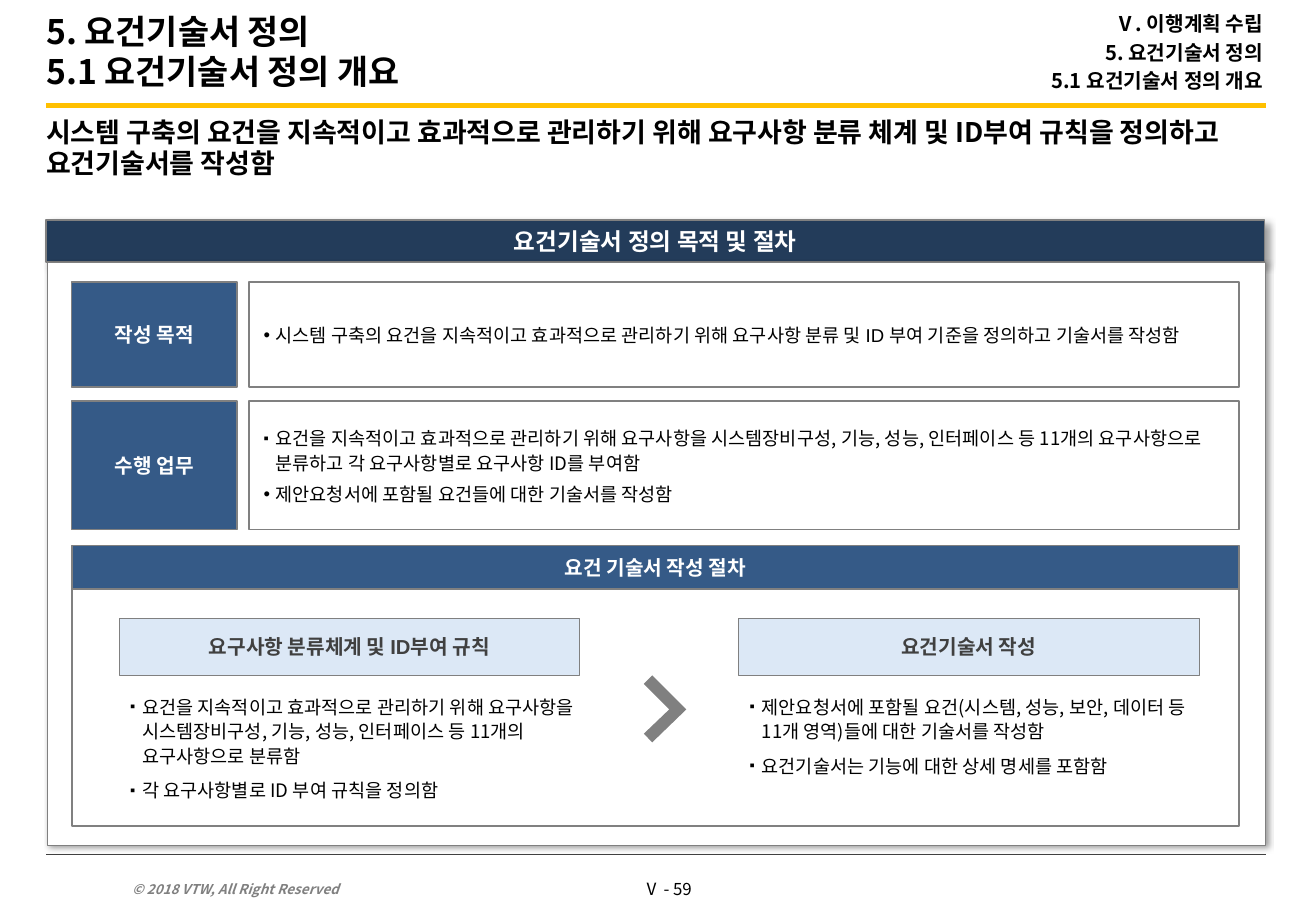
import pptx
import pptx.util
import pptx.dml.color
import pptx.enum.shapes
import pptx.enum.text
import pptx.oxml
import pptx.oxml.ns
from lxml import etree

Pt = pptx.util.Pt
RGB = pptx.dml.color.RGBColor.from_string
PP = pptx.enum.text.PP_ALIGN
ANCHOR = pptx.enum.text.MSO_ANCHOR
RECT = pptx.enum.shapes.MSO_SHAPE.RECTANGLE
qn = pptx.oxml.ns.qn
NOTO = "Noto Sans CJK KR"
COLORS = {"navy": "233C5A", "blue": "355A87", "pale": "DCE8F6", "white": "FFFFFF",
          "black": "000000", "dark": "404040", "gray": "808080", "gold": "FFC000"}

prs = pptx.Presentation()
prs.slide_width, prs.slide_height = Pt(780), Pt(540)
slide = prs.slides.add_slide(prs.slide_layouts[6])


def add_box(at, fill=None, line=None, shadow=None):
    s = slide.shapes.add_shape(RECT, *[Pt(v) for v in at])
    s.shadow.inherit = False
    if fill:
        s.fill.solid()
        s.fill.fore_color.rgb = RGB(COLORS[fill])
    else:
        s.fill.background()
    s.line.color.rgb = RGB(COLORS["gray"])
    s.line.width = Pt(line)
    if shadow:
        blur, dist = shadow
        effects = s._element.spPr.find(qn("a:effectLst"))
        outer = etree.SubElement(effects, qn("a:outerShdw"), blurRad=str(Pt(blur)),
                                 dist=str(Pt(dist)), dir="2700000", algn="tl", rotWithShape="0")
        color = etree.SubElement(outer, qn("a:srgbClr"), val=COLORS["black"])
        etree.SubElement(color, qn("a:alpha"), val="40000")
    return s


def write(s, lines, size, color="black", align=PP.LEFT, anchor=ANCHOR.MIDDLE, insets=(0, 0, 0, 0),
          leading=1.18, before=0, bullets="", font=NOTO, wrap=True, **style):
    tf = s.text_frame
    sides = ("margin_left", "margin_top", "margin_right", "margin_bottom")
    for name, value in zip(sides, insets):
        setattr(tf, name, Pt(value))
    tf.word_wrap, tf.vertical_anchor = wrap, anchor
    for i, text in enumerate(lines):
        p = tf.paragraphs[0] if i == 0 else tf.add_paragraph()
        p.alignment, p.line_spacing = align, Pt(round(size * leading, 1))
        p.space_before = Pt(before if i else 0)
        if bullets:
            pPr = p._p.get_or_add_pPr()
            pPr.set("marL", str(Pt(7.2)))
            pPr.set("indent", str(-Pt(7.2)))
            if bullets[i] == "▪":
                etree.SubElement(pPr, qn("a:buSzPct"), val="80000")
            etree.SubElement(pPr, qn("a:buFont"), typeface="Arial")
            etree.SubElement(pPr, qn("a:buChar"), char=bullets[i])
        r = p.add_run()
        r.text = text
        for name, value in {"name": font, "size": Pt(size), **style}.items():
            setattr(r.font, name, value)
        r.font.color.rgb = RGB(COLORS[color])
        etree.SubElement(r._r.get_or_add_rPr(), qn("a:ea"), typeface=NOTO)


for y, color, width in [(62.6, "gold", 2.5), (506.2, "dark", 0.5)]:
    cx = slide.shapes.add_connector(pptx.enum.shapes.MSO_CONNECTOR.STRAIGHT,
                                    Pt(27.4), Pt(y), Pt(750.2), Pt(y))
    cx.line.color.rgb, cx.line.width = RGB(COLORS[color]), Pt(width)
    etree.SubElement(cx._element.spPr, qn("a:effectLst"))

texts = [
    ((27.4, 0, 566.6, 61.2), ["5. 요건기술서 정의", "5.1 요건기술서 정의 개요"],
     dict(size=20, bold=True, insets=(0, 3.6, 7.2, 3.6))),
    ((355.7, 0, 393.1, 61.9), ["Ⅴ. 이행계획 수립", "5. 요건기술서 정의", "5.1 요건기술서 정의 개요"],
     dict(size=12, bold=True, align=PP.RIGHT, before=2.9, insets=(0, 3.6, 0, 3.6))),
    ((27.4, 68.5, 722.8, 49), ["시스템 구축의 요건을 지속적이고 효과적으로 관리하기 위해 요구사항 분류 체계 및 "
                              "ID부여 규칙을 정의하고 요건기술서를 작성함"],
     dict(size=16, bold=True, anchor=ANCHOR.TOP)),
    ((71.3, 516.2, 170.6, 19.4), ["© 2018 VTW, All Right Reserved"],
     dict(size=8, color="gray", bold=True, italic=True, anchor=ANCHOR.BOTTOM,
          insets=(7.2, 3.6, 7.2, 3.6))),
    ((368.6, 517, 54, 19.4), ["Ⅴ - 59"],
     dict(size=10, align=PP.CENTER, wrap=False, insets=(4.3, 3.6, 4.3, 3.6))),
]
for at, lines, fmt in texts:
    write(slide.shapes.add_textbox(*[Pt(v) for v in at]), lines, **fmt)

heading = dict(color="white", align=PP.CENTER, bold=True, insets=(5.8, 5.8, 5.8, 5.8))
s = add_box((27.4, 130.3, 722.2, 25.2), "navy", 1, (4, 3))
write(s, ["요건기술서 정의 목적 및 절차"], 14, font="Arial", **heading)
add_box((28.1, 155.5, 722.2, 345.6), "white", 0.5, (3, 2))

rows = [
    (167, 62.6, "작성 목적", "•", "Arial",
     ["시스템 구축의 요건을 지속적이고 효과적으로 관리하기 위해 요구사항 분류 및 ID 부여 기준을 정의하고 기술서를 작성함"]),
    (237.6, 76.3, "수행 업무", "▪•", NOTO,
     ["요건을 지속적이고 효과적으로 관리하기 위해 요구사항을 시스템장비구성, 기능, 성능, 인터페이스 등 11개의 "
      "요구사항으로 분류하고 각 요구사항별로 요구사항 ID를 부여함",
      "제안요청서에 포함될 요건들에 대한 기술서를 작성함"]),
]
for top, height, label, bullets, font, lines in rows:
    write(add_box((42.5, top, 97.9, height), "blue", 1), [label], 12, **heading)
    write(add_box((147.6, top, 586.8, height), None, 1), lines, 11, font=font, bullets=bullets,
          leading=1.32, before=4, insets=(8.6, 5.8, 2.9, 5.8))

add_box((42.5, 337.7, 691.9, 151.9), "white", 1)
write(add_box((42.5, 323.3, 691.9, 25.9), "blue", 1), ["요건 기술서 작성 절차"], 12, **heading)

fb = slide.shapes.build_freeform(Pt(386.6), Pt(400.3), 1)
fb.add_line_segments([(Pt(x), Pt(y)) for x, y in
                      [(406.8, 420.5), (386.6, 440), (381.6, 434.9), (396.7, 420.5), (381.6, 405.4)]])
chevron = fb.convert_to_shape()
chevron.shadow.inherit = False
chevron.fill.solid()
chevron.fill.fore_color.rgb = RGB(COLORS["gray"])
chevron.line.fill.background()

steps = [
    (70.6, "요구사항 분류체계 및 ID부여 규칙",
     ["요건을 지속적이고 효과적으로 관리하기 위해 요구사항을 시스템장비구성, 기능, 성능, 인터페이스 등 "
      "11개의 요구사항으로 분류함",
      "각 요구사항별로 ID 부여 규칙을 정의함"]),
    (437.8, "요건기술서 작성",
     ["제안요청서에 포함될 요건(시스템, 성능, 보안, 데이터 등 11개 영역)들에 대한 기술서를 작성함",
      "요건기술서는 기능에 대한 상세 명세를 포함함"]),
]
for left, label, lines in steps:
    write(add_box((left, 366.5, 272.9, 33.8), "pale", 0.5), [label], 12, color="dark",
          align=PP.CENTER, font="Arial", wrap=False, bold=True)
    s = slide.shapes.add_textbox(Pt(left + 3.6), Pt(408.2), Pt(269.6), Pt(59.8))
    write(s, lines, 11, anchor=ANCHOR.TOP, bullets="▪▪", leading=1.32, before=6,
          insets=(2.9, 2.9, 2.9, 2.9))

prs.save("out.pptx")
